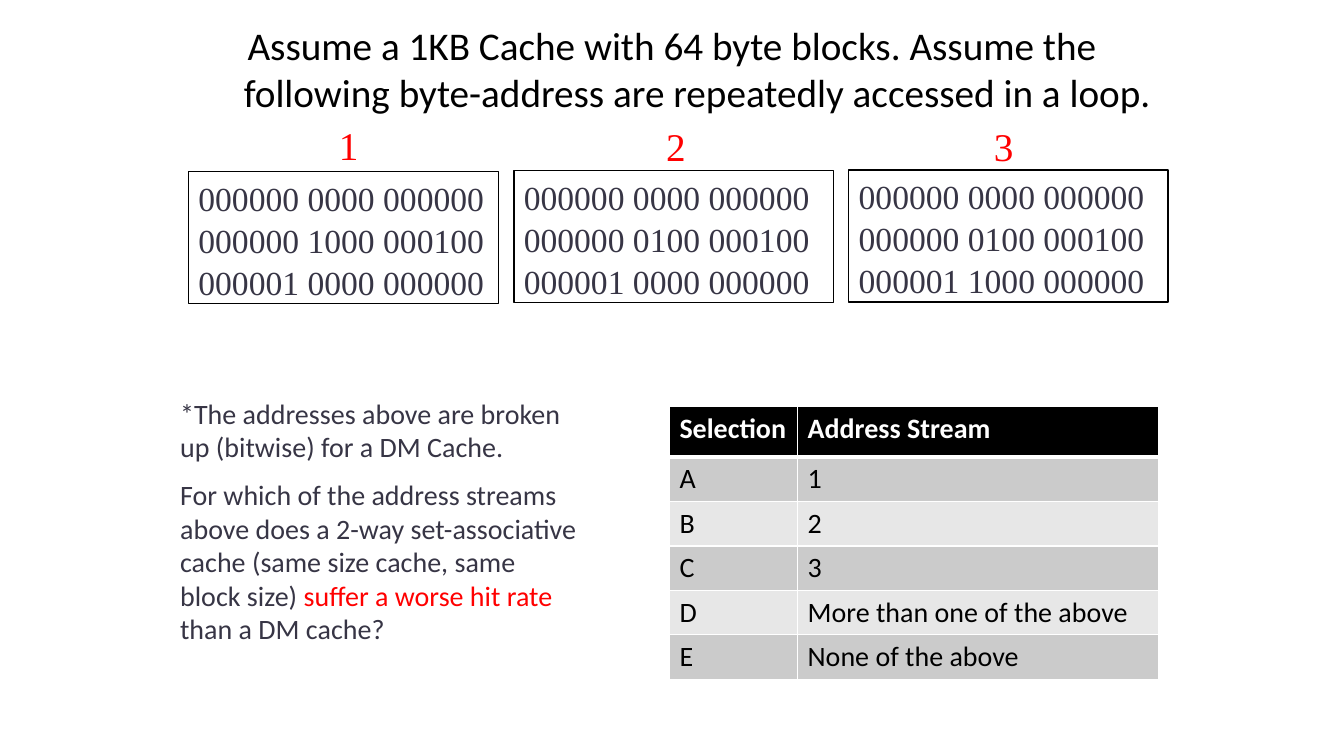
from dataclasses import dataclass

from lxml import etree
from pptx import Presentation
from pptx import util as u
from pptx.dml.color import RGBColor
from pptx.enum import shapes, text
from pptx.oxml.ns import qn


@dataclass(frozen=True)
class Theme:
    sans: str = "Calibri"
    serif: str = "Times New Roman"
    black: str = "000000"
    white: str = "FFFFFF"
    slate: str = "373545"
    red: str = "FF0000"
    bands: tuple = ("CBCBCB", "E7E7E7")
    heading: int = 28
    address: int = 24
    body: int = 20


class SlideBuilder:
    def __init__(self, presentation, theme):
        self.theme = theme
        self.slide = presentation.slides.add_slide(presentation.slide_layouts[5])

    def add_run(self, paragraph, wording, size, color, font=None, bold=False):
        run = paragraph.add_run()
        run.text = wording
        run.font.name = font or self.theme.sans
        run.font.size = u.Pt(size)
        run.font.bold = bold
        run.font.color.rgb = RGBColor.from_string(color)

    def prepare_frame(self, shape):
        frame = shape.text_frame
        frame.word_wrap = True
        frame.auto_size = text.MSO_AUTO_SIZE.NONE
        frame.vertical_anchor = text.MSO_ANCHOR.TOP
        return frame

    def title(self, wording, left, top, width, height):
        shape = self.slide.shapes.title
        shape.left, shape.top = u.Cm(left), u.Cm(top)
        shape.width, shape.height = u.Cm(width), u.Cm(height)
        paragraph = self.prepare_frame(shape).paragraphs[0]
        paragraph.alignment = text.PP_ALIGN.CENTER
        paragraph.line_spacing = 1.0
        properties = paragraph._p.get_or_add_pPr()
        hanging = u.Cm(1.27)
        properties.set("marL", str(hanging))
        properties.set("indent", str(-hanging))
        self.add_run(paragraph, wording, self.theme.heading, self.theme.black)

    def text_box(self, left, top, width, height):
        box = self.slide.shapes.add_textbox(u.Cm(left), u.Cm(top), u.Cm(width), u.Cm(height))
        return self.prepare_frame(box)

    def stream_number(self, number, left, top):
        paragraph = self.text_box(left, top, 1.47, 1.45).paragraphs[0]
        paragraph.alignment = text.PP_ALIGN.CENTER
        self.add_run(paragraph, number, self.theme.heading, self.theme.red, self.theme.serif)

    def address_box(self, addresses, left, top, width):
        box = self.slide.shapes.add_shape(
            shapes.MSO_SHAPE.RECTANGLE, u.Cm(left), u.Cm(top), u.Cm(width), u.Cm(3.33))
        box.shadow.inherit = False
        box.fill.background()
        box.line.color.rgb = RGBColor.from_string(self.theme.black)
        box.line.width = u.Pt(1)
        frame = self.prepare_frame(box)
        for index, address in enumerate(addresses):
            paragraph = frame.paragraphs[0] if index == 0 else frame.add_paragraph()
            paragraph.alignment = text.PP_ALIGN.LEFT
            paragraph.line_spacing = 1.04
            self.add_run(paragraph, address, self.theme.address, self.theme.slate, self.theme.serif)

    def question(self, paragraphs, left, top, width, height):
        """Add paragraphs, each a list of (wording, color) runs."""
        frame = self.text_box(left, top, width, height)
        for index, runs in enumerate(paragraphs):
            paragraph = frame.paragraphs[0] if index == 0 else frame.add_paragraph()
            paragraph.space_before = u.Pt(10 if index else 0)
            for wording, color in runs:
                self.add_run(paragraph, wording, self.theme.body, color)

    def border_cell(self, cell, **widths):
        """Draw white borders; widths maps lnL, lnR, lnT and lnB to points."""
        properties = cell._tc.get_or_add_tcPr()
        for index, (side, width) in enumerate(widths.items()):
            line = etree.Element(qn(f"a:{side}"), w=str(u.Pt(width)))
            fill = etree.SubElement(line, qn("a:solidFill"))
            etree.SubElement(fill, qn("a:srgbClr"), val=self.theme.white)
            properties.insert(index, line)

    def table(self, rows, left, top, column_widths, row_heights):
        table = self.slide.shapes.add_table(
            len(rows), len(column_widths), u.Cm(left), u.Cm(top),
            u.Cm(sum(column_widths)), u.Cm(sum(row_heights))).table
        for column, width in zip(table.columns, column_widths):
            column.width = u.Cm(width)
        for index, (row, height) in enumerate(zip(table.rows, row_heights)):
            row.height = u.Cm(height)
            header = index == 0
            background = self.theme.black if header else self.theme.bands[(index - 1) % 2]
            color = self.theme.white if header else self.theme.black
            for cell, wording in zip(row.cells, rows[index]):
                cell.fill.solid()
                cell.fill.fore_color.rgb = RGBColor.from_string(background)
                self.border_cell(cell, lnL=1, lnR=1, lnT=3 if index == 1 else 1,
                                 lnB=3 if header else 1)
                self.add_run(cell.text_frame.paragraphs[0], wording,
                             self.theme.body, color, bold=header)


def main():
    presentation = Presentation()
    presentation.slide_width, presentation.slide_height = u.Cm(33.87), u.Cm(19.05)
    theme = Theme()
    builder = SlideBuilder(presentation, theme)

    builder.title("Assume a 1KB Cache with 64 byte blocks. Assume the following "
                  "byte-address are repeatedly accessed in a loop.", 4.23, 0.42, 25.4, 2.62)

    # Number position, box position and width, then the last two addresses
    streams = [
        (8.05, 2.92, 4.75, 4.32, 7.82, "000000 1000 000100", "000001 0000 000000"),
        (16.3, 2.97, 12.95, 4.3, 8.05, "000000 0100 000100", "000001 0000 000000"),
        (24.56, 2.97, 21.39, 4.28, 8.05, "000000 0100 000100", "000001 1000 000000"),
    ]
    for number, stream in enumerate(streams, start=1):
        number_left, number_top, left, top, width, *addresses = stream
        builder.stream_number(str(number), number_left, number_top)
        builder.address_box(["000000 0000 000000", *addresses], left, top, width)

    builder.question([
        [("*The addresses above are broken up (bitwise) for a DM Cache.", theme.slate)],
        [("For which of the address streams above does a 2-way set-associative cache "
          "(same size cache, same block size) ", theme.slate),
         ("suffer a worse hit rate", theme.red),
         (" than a DM cache?", theme.slate)],
    ], 4.29, 9.86, 10.59, 6.6)

    choices = ["1", "2", "3", "More than one of the above", "None of the above"]
    builder.table([("Selection", "Address Stream"), *zip("ABCDE", choices)],
                  16.87, 10.25, [3.23, 9.1], [1.27] + [1.1] * len(choices))

    presentation.save("out.pptx")


if __name__ == "__main__":
    main()
